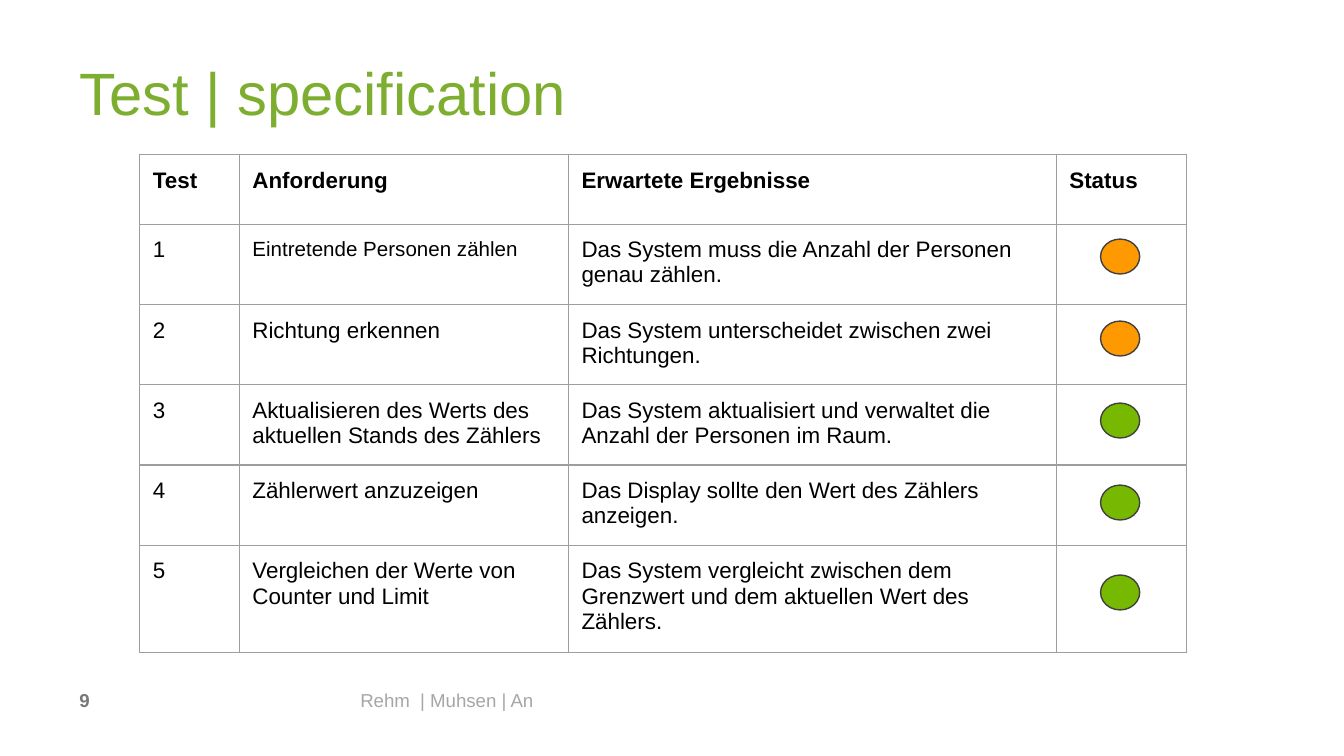
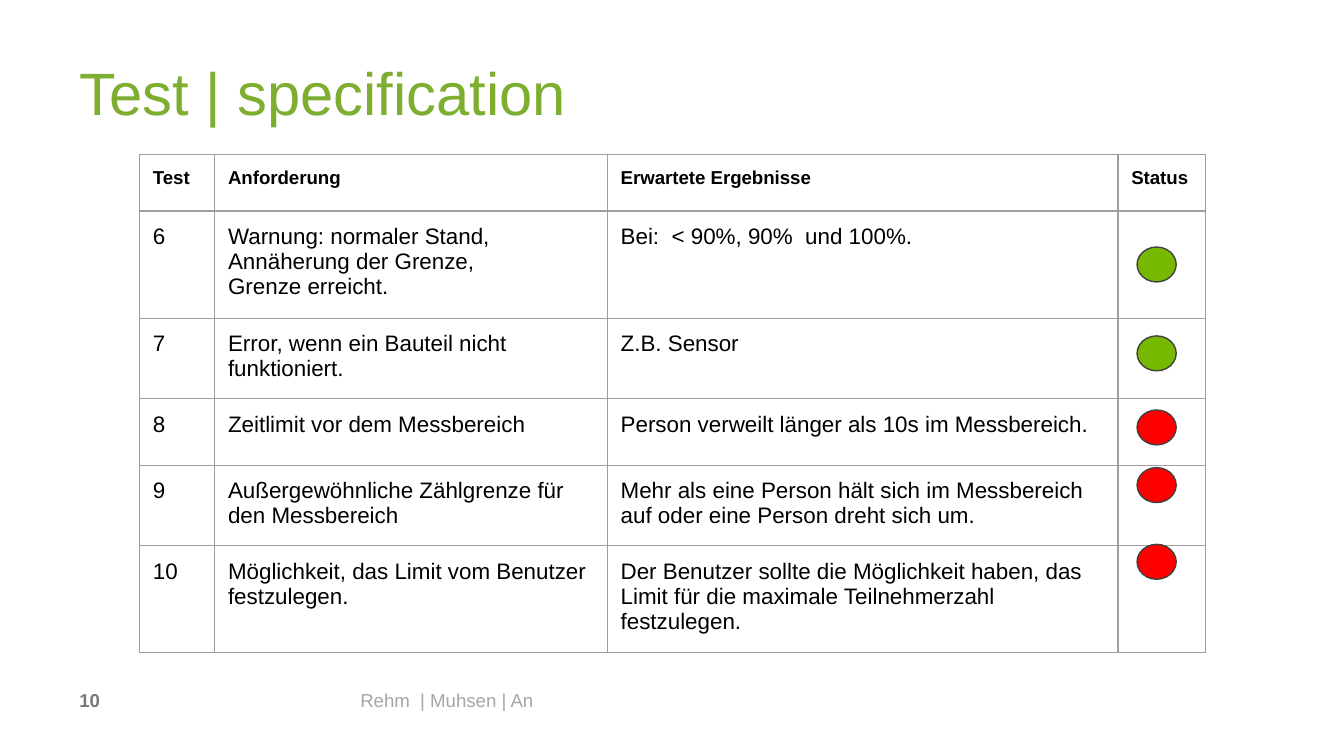
import pptx
import pptx.util
import pptx.dml.color
import pptx.enum.shapes
import pptx.oxml
import pptx.oxml.ns

Cm = pptx.util.Cm
Pt = pptx.util.Pt
RGBColor = pptx.dml.color.RGBColor

WHITE = RGBColor(0xFF, 0xFF, 0xFF)
BLACK = RGBColor(0x00, 0x00, 0x00)
TITLE_GREEN = RGBColor(0x7E, 0xAE, 0x2F)
NUMBER_GRAY = RGBColor(0x78, 0x78, 0x78)
FOOTER_GRAY = RGBColor(0xA6, 0xA6, 0xA6)
BORDER_GRAY = RGBColor(0x9E, 0x9E, 0x9E)
OUTLINE_GRAY = RGBColor(0x40, 0x40, 0x40)
ORANGE = RGBColor(0xFF, 0x99, 0x00)
GREEN = RGBColor(0x76, 0xB9, 0x00)
RED = RGBColor(0xFF, 0x00, 0x00)

TITLE = "Test | specification"
AUTHORS = "Rehm  | Muhsen | An"
HEADER = ("Test", "Anforderung", "Erwartete Ergebnisse", "Status")
SIDES = ("left", "top", "right", "bottom")
ROW_HEIGHT = 1.07

PAGES = [
    {
        "number": 9,
        "widths": (1.88, 6.22, 9.22, 2.46),
        "header_height": 1.32,
        "header_size": 12,
        "status_left": 20.8,
        "tests": [
            ("Eintretende Personen zählen",
             "Das System muss die Anzahl der Personen genau zählen.", ORANGE, 4.52),
            ("Richtung erkennen",
             "Das System unterscheidet zwischen zwei Richtungen.", ORANGE, 6.07),
            ("Aktualisieren des Werts des aktuellen Stands des Zählers",
             "Das System aktualisiert und verwaltet die Anzahl der Personen im Raum.", GREEN, 7.62),
            ("Zählerwert anzuzeigen",
             "Das Display sollte den Wert des Zählers anzeigen.", GREEN, 9.17),
            ("Vergleichen der Werte von Counter und Limit",
             "Das System vergleicht zwischen dem Grenzwert und dem aktuellen Wert des Zählers.",
             GREEN, 10.87),
        ],
        "first_test": 1,
        "small_cells": {(1, 1): 11},
    },
    {
        "number": 10,
        "widths": (1.42, 7.42, 9.65, 1.65),
        "header_height": ROW_HEIGHT,
        "header_size": 10,
        "status_left": 21.49,
        "tests": [
            ("Warnung: normaler Stand, Annäherung der Grenze,\nGrenze erreicht.",
             "Bei:  < 90%, 90%  und 100%.", GREEN, 4.67),
            ("Error, wenn ein Bauteil nicht funktioniert.", "Z.B. Sensor", GREEN, 6.35),
            ("Zeitlimit vor dem Messbereich",
             "Person verweilt länger als 10s im Messbereich.", RED, 7.75),
            ("Außergewöhnliche Zählgrenze für den Messbereich",
             "Mehr als eine Person hält sich im Messbereich auf oder eine Person dreht sich um.",
             RED, 8.84),
            ("Möglichkeit, das Limit vom Benutzer festzulegen.",
             "Der Benutzer sollte die Möglichkeit haben, das Limit für die maximale "
             "Teilnehmerzahl festzulegen.", RED, 10.29),
        ],
        "first_test": 6,
        "small_cells": {},
    },
]


class Deck:
    """Holds the presentation style and the slide being filled."""

    def __init__(self):
        self.presentation = pptx.Presentation()
        self.presentation.slide_width = Cm(25.4)
        self.presentation.slide_height = Cm(14.29)
        self.slide = None

    def add_slide(self, number):
        self.slide = self.presentation.slides.add_slide(self.presentation.slide_layouts[6])
        self.slide.background.fill.solid()
        self.slide.background.fill.fore_color.rgb = WHITE
        title = self.add_text(TITLE, 1.5, 0.84, 20.9, 1.22, 32, TITLE_GREEN)
        title.margin_top = Cm(0.13)
        title.paragraphs[0].line_spacing = 1.06
        self.add_text(str(number), 1.5, 13.03, 4.8, 0.51, 10, NUMBER_GRAY, True)
        self.add_text(AUTHORS, 6.81, 13.03, 15.24, 0.51, 10, FOOTER_GRAY)

    def fill_text(self, frame, text, size, color, bold=False):
        frame.text = text
        frame.word_wrap = True
        values = {"name": "Arial", "size": Pt(size), "bold": bold}
        for paragraph in frame.paragraphs:
            font = paragraph.runs[0].font
            for name, value in values.items():
                setattr(font, name, value)
            font.color.rgb = color

    def add_text(self, text, left, top, width, height, size, color, bold=False):
        box = self.slide.shapes.add_textbox(Cm(left), Cm(top), Cm(width), Cm(height))
        frame = box.text_frame
        for side in SIDES:
            setattr(frame, f"margin_{side}", 0)
        self.fill_text(frame, text, size, color, bold)
        return frame

    def add_borders(self, cell):
        properties = cell._tc.get_or_add_tcPr()
        namespace = pptx.oxml.ns.nsdecls("a")
        for position, side in enumerate(("lnL", "lnR", "lnT", "lnB")):
            properties.insert(position, pptx.oxml.parse_xml(
                f'<a:{side} {namespace} w="{Pt(0.75)}"><a:solidFill>'
                f'<a:srgbClr val="{BORDER_GRAY}"/></a:solidFill></a:{side}>'))

    def add_table(self, rows, widths, header_height, header_size, small_cells):
        heights = [header_height] + [ROW_HEIGHT] * (len(rows) - 1)
        frame = self.slide.shapes.add_table(
            len(rows), len(widths), Cm(2.64), Cm(2.92), Cm(sum(widths)), Cm(sum(heights)))
        table = frame.table
        table.first_row = table.horz_banding = False
        for column, width in zip(table.columns, widths):
            column.width = Cm(width)
        for row_index, (row, height) in enumerate(zip(rows, heights)):
            table.rows[row_index].height = Cm(height)
            for column_index, text in enumerate(row):
                cell = table.cell(row_index, column_index)
                for side in SIDES:
                    setattr(cell, f"margin_{side}", Cm(0.25))
                cell.fill.background()
                self.add_borders(cell)
                is_header = row_index == 0
                size = header_size if is_header else small_cells.get((row_index, column_index), 12)
                if text:
                    self.fill_text(cell.text_frame, text, size, BLACK, is_header)

    def add_status(self, left, top, color):
        shape = self.slide.shapes.add_shape(
            pptx.enum.shapes.MSO_SHAPE.OVAL, Cm(left), Cm(top), Cm(0.74), Cm(0.66))
        shape.shadow.inherit = False
        shape.fill.solid()
        shape.fill.fore_color.rgb = color
        shape.line.color.rgb = OUTLINE_GRAY
        shape.line.width = Pt(0.75)


def main():
    deck = Deck()
    for page in PAGES:
        deck.add_slide(page["number"])
        rows = [HEADER]
        for number, test in enumerate(page["tests"], page["first_test"]):
            rows.append((str(number), test[0], test[1], ""))
        deck.add_table(rows, page["widths"], page["header_height"],
                       page["header_size"], page["small_cells"])
        for _, _, color, top in page["tests"]:
            deck.add_status(page["status_left"], top, color)
    deck.presentation.save("out.pptx")


if __name__ == "__main__":
    main()
